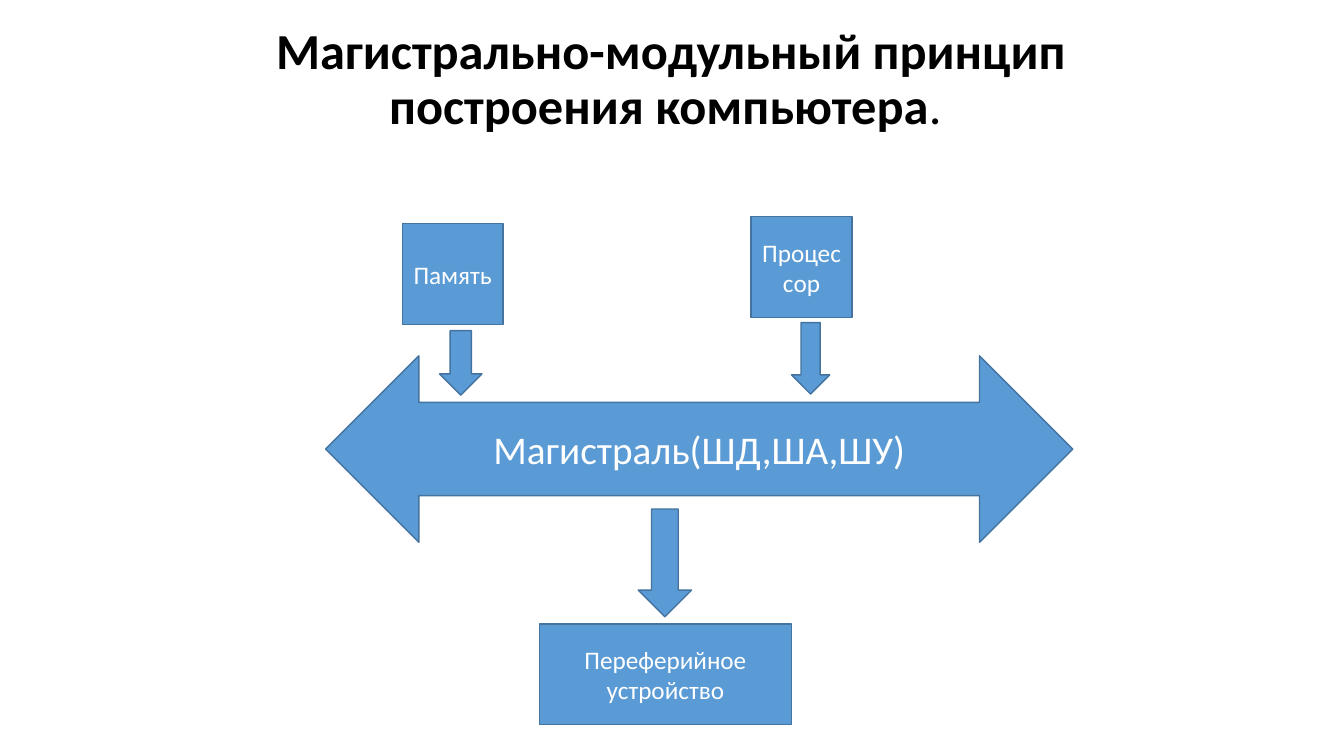
from pptx import Presentation
from pptx.dml.color import RGBColor
from pptx.enum.shapes import MSO_SHAPE as Preset
from pptx.enum.text import MSO_ANCHOR as Anchor, PP_ALIGN as Align
from pptx.util import Inches, Pt

FONT = "Calibri"
BLUE, OUTLINE, WHITE, BLACK = "5B9BD5", "43739E", "FFFFFF", "000000"


def rgb(value):
    """Turn a hex string into a colour."""
    return RGBColor.from_string(value)


def write(frame, *runs, size=18, color=WHITE, anchor=Anchor.MIDDLE, spacing=1.0):
    """Fill a text frame with one centred paragraph of (text, bold) runs."""
    frame.word_wrap = True
    frame.vertical_anchor = anchor
    paragraph = frame.paragraphs[0]
    paragraph.alignment = Align.CENTER
    paragraph.line_spacing = spacing
    for text, bold in runs:
        run = paragraph.add_run()
        run.text = text
        run.font.name = FONT
        run.font.size = Pt(size)
        run.font.bold = bold
        run.font.color.rgb = rgb(color)


def add_title(slide, *runs):
    """Add the slide title."""
    title = slide.shapes.add_textbox(Inches(1.6), Inches(0.15), Inches(10), Inches(1.24))
    write(title.text_frame, *runs, size=36, color=BLACK, anchor=Anchor.BOTTOM, spacing=0.9)


def add_block(slide, preset, left, top, width, height, label="", size=18):
    """Add a blue outlined shape with an optional label."""
    block = slide.shapes.add_shape(
        preset, Inches(left), Inches(top), Inches(width), Inches(height))
    block.shadow.inherit = False
    block.fill.solid()
    block.fill.fore_color.rgb = rgb(BLUE)
    block.line.color.rgb = rgb(OUTLINE)
    block.line.width = Pt(1)
    if label:
        write(block.text_frame, (label, False), size=size)


def main():
    """Build the bus diagram slide."""
    deck = Presentation()
    deck.slide_width, deck.slide_height = Inches(13.33), Inches(7.5)
    slide = deck.slides.add_slide(deck.slide_layouts[6])

    add_title(slide, (" ", False),
              ("Магистрально-модульный принцип построения компьютера", True),
              (".", False))
    add_block(slide, Preset.LEFT_RIGHT_ARROW, 3.23, 3.53, 7.41, 1.85,
              "Магистраль(ШД,ША,ШУ)", size=28)

    modules = [
        ("Переферийное устройство", 5.35, 6.19, 2.5),
        ("Память", 3.99, 2.22, 1),
        ("Процессор", 7.45, 2.15, 1),
    ]
    for label, left, top, width in modules:
        add_block(slide, Preset.RECTANGLE, left, top, width, 1, label)

    flows = [
        (6.33, 5.05, 0.53, 1.07),
        (4.36, 3.28, 0.42, 0.64),
        (7.85, 3.2, 0.38, 0.71),
    ]
    for flow in flows:
        add_block(slide, Preset.DOWN_ARROW, *flow)

    deck.save("out.pptx")


if __name__ == "__main__":
    main()
